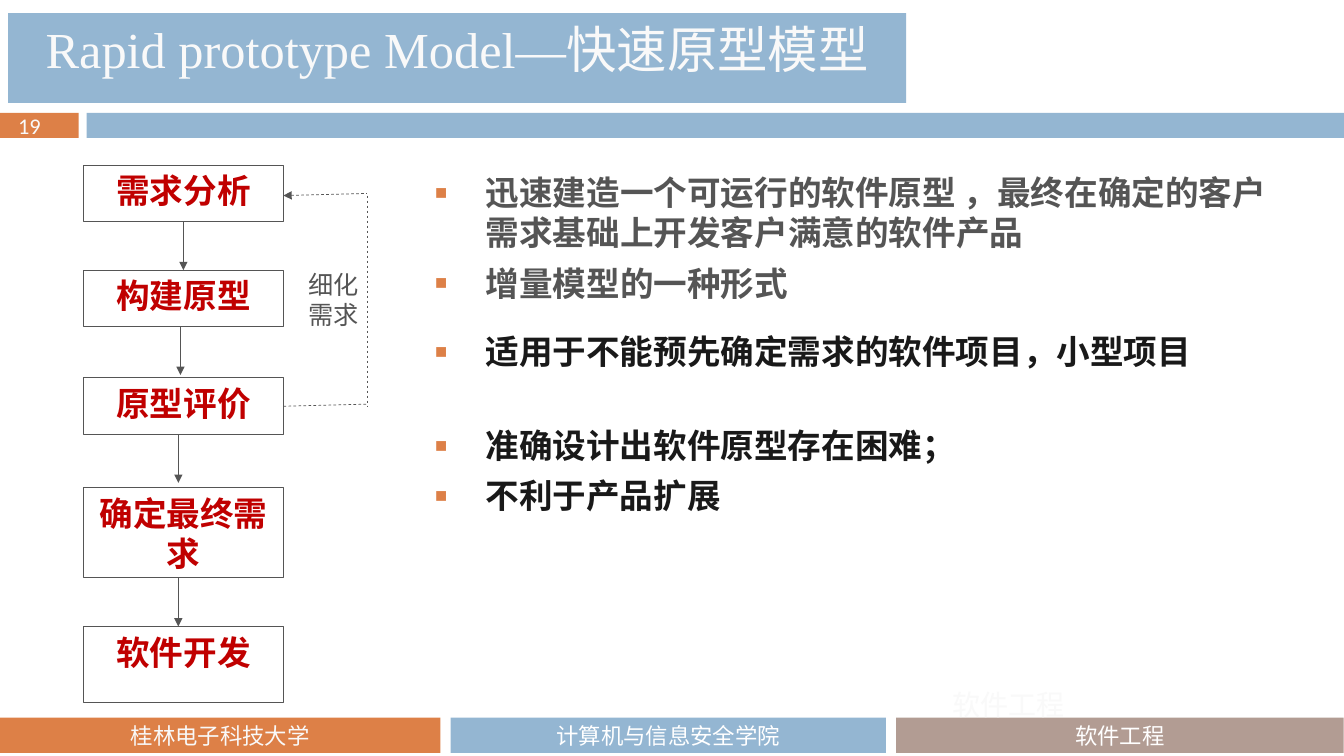
from lxml import etree
from pptx import Presentation
from pptx import util as u
from pptx.dml.color import RGBColor
from pptx.enum import dml, shapes, text
from pptx.oxml import ns

ORANGE, BLUE, TAUPE = "DD8047", "94B6D2", "B29C93"
GRAY, BLACK, RED, PALE, WHITE = "555555", "191919", "C00000", "F9F9F9", "FFFFFF"
CJK = "Noto Sans CJK SC"
BAND_TOP, BAND_H = 80.6, 18
FOOT_TOP, FOOT_H = 512.6, 25.2
STEP_LEFT, STEP_W, ARROW_LEN = 59.8, 142.6, 34.6
LOOP_X = 262.1

bands = [(0, 56.2, ORANGE), (61.9, 898.1, BLUE)]
footers = [
    (0, 314.6, ORANGE, "桂林电子科技大学", PALE),
    (321.8, 311, BLUE, "计算机与信息安全学院", WHITE),
    (640.1, 319.7, TAUPE, "软件工程", WHITE),
]
title = "Rapid prototype Model—快速原型模型"
steps = [
    ("需求分析", 118.1, 40.3, 131),
    ("构建原型", 193, 40.3, 128.9),
    ("原型评价", 270, 40.3, 127.4),
    ("确定最终需求", 348.5, 64.4, 127.4),
    ("软件开发", 447.8, 54, None),
]
loop = [
    ((STEP_LEFT + STEP_W, 290.2), (LOOP_X, 288.7), None),
    ((STEP_LEFT + STEP_W, 139.7), (LOOP_X, 138.2), "headEnd"),
    ((LOOP_X, 139.7), (LOOP_X, 290.2), None),
]
points = [
    (125.3, 622.8, GRAY, "Calibri", [
        "迅速建造一个可运行的软件原型 ，最终在确定的客户需求基础上开发客户满意的软件产品",
        "增量模型的一种形式"]),
    (206.6, 602.6, BLACK, CJK, ["适用于不能预先确定需求的软件项目，小型项目"]),
    (291.6, 511.2, BLACK, CJK, ["准确设计出软件原型存在困难；", "不利于产品扩展"]),
]

prs = Presentation()
prs.slide_width, prs.slide_height = u.Pt(960), u.Pt(540)
slide = prs.slides.add_slide(prs.slide_layouts[6])


def rgb(value):
    return RGBColor.from_string(value)


def sub(parent, tag, **attrs):
    return etree.SubElement(parent, ns.qn("a:" + tag), attrs)


def write(sp, lines, size, color, font="Calibri", bold=False, align="LEFT",
          anchor="TOP", wrap=True, **para):
    tf = sp.text_frame
    tf.word_wrap = wrap
    tf.vertical_anchor = getattr(text.MSO_ANCHOR, anchor)
    for i, line in enumerate(lines):
        p = tf.paragraphs[0] if i == 0 else tf.add_paragraph()
        p.alignment = getattr(text.PP_ALIGN, align)
        for name, value in para.items():
            setattr(p, name, u.Pt(value))
        r = p.add_run()
        r.text = line
        for name, value in {"size": u.Pt(size), "name": font, "bold": bold}.items():
            setattr(r.font, name, value)
        r.font.color.rgb = rgb(color)
        sub(r.font._element, "ea", typeface=CJK)


def box(left, top, width, height, fill=None, line=None):
    sp = slide.shapes.add_shape(shapes.MSO_SHAPE.RECTANGLE,
                                *map(u.Pt, (left, top, width, height)))
    sp.shadow.inherit = False
    if fill:
        sp.fill.solid()
        sp.fill.fore_color.rgb = rgb(fill)
    else:
        sp.fill.background()
    if line:
        sp.line.color.rgb = rgb(line)
        sp.line.width = u.Pt(0.75)
    else:
        sp.line.fill.background()
    return sp


def label(left, top, width, height):
    return slide.shapes.add_textbox(*map(u.Pt, (left, top, width, height)))


def connect(start, end, width, arrow=None, dash=False):
    c = slide.shapes.add_connector(shapes.MSO_CONNECTOR.STRAIGHT,
                                   *map(u.Pt, start + end))
    c.line.color.rgb = rgb(GRAY)
    c.line.width = u.Pt(width)
    if dash:
        c.line.dash_style = dml.MSO_LINE.DASH
    if arrow:
        sub(c.line._get_or_add_ln(), arrow, type="triangle")
    sub(c._element.spPr, "effectLst")


def add_bullets(sp):
    for p in sp.text_frame.paragraphs:
        pPr = p._p.get_or_add_pPr()
        pPr.set("marL", str(u.Pt(36)))
        pPr.set("indent", str(-u.Pt(36)))
        sub(sub(pPr, "buClr"), "srgbClr", val=ORANGE)
        sub(pPr, "buSzPct", val="60000")
        sub(pPr, "buFont", typeface="Arial")
        sub(pPr, "buChar", char="■")


for left, width, fill in bands:
    box(left, BAND_TOP, width, BAND_H, fill)
write(label(5.8, 76.3, 34.6, 26.6), ["19"], 16, PALE, wrap=False)

for left, width, fill, name, color in footers:
    write(box(left, FOOT_TOP, width, FOOT_H, fill), [name], 16, color,
          align="CENTER", anchor="MIDDLE")
write(label(600.5, 475.9, 239.8, 54), ["软件工程"], 20, PALE,
      align="CENTER", anchor="MIDDLE", space_before=7)

write(box(5.8, 9.4, 641.5, 64.1, BLUE), [title], 36, PALE, "Times New Roman",
      align="CENTER", anchor="MIDDLE", line_spacing=30, space_before=7)

for top, width, color, font, lines in points:
    sp = label(303.8, top, width, 88.6)
    write(sp, lines, 24, color, font, True, anchor="MIDDLE", space_before=7)
    add_bullets(sp)

for name, top, height, arrow_x in steps:
    write(box(STEP_LEFT, top, STEP_W, height, line=GRAY), [name], 24, RED,
          "Arial", True, "CENTER")
    if arrow_x:
        bottom = top + height
        connect((arrow_x, bottom), (arrow_x, bottom + ARROW_LEN), 0.75, "tailEnd")

for start, end, arrow in loop:
    connect(start, end, 0.5, arrow, dash=True)
write(label(213.1, 188.6, 58.3, 51.1), ["细化需求"], 18, GRAY)

prs.save("out.pptx")
